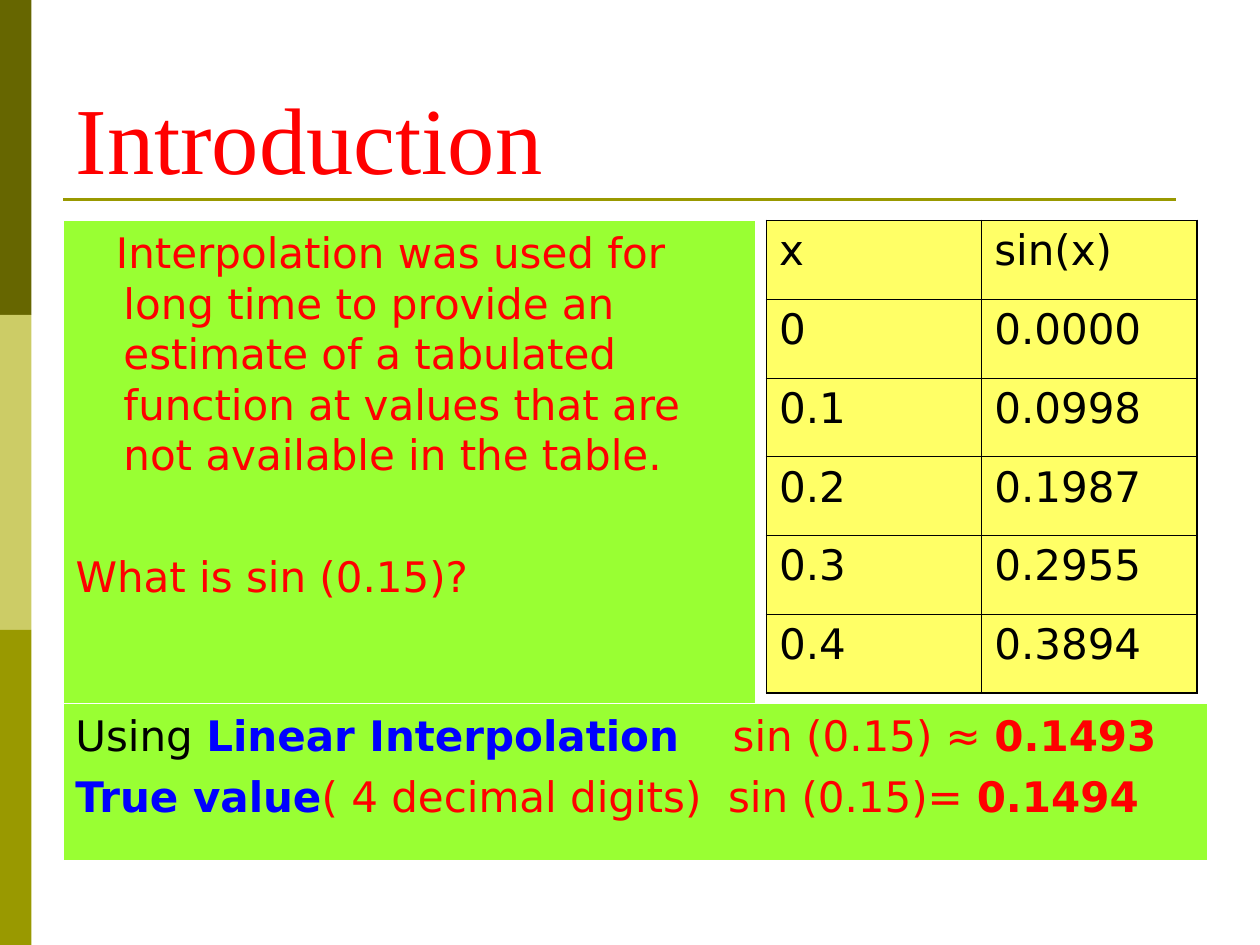
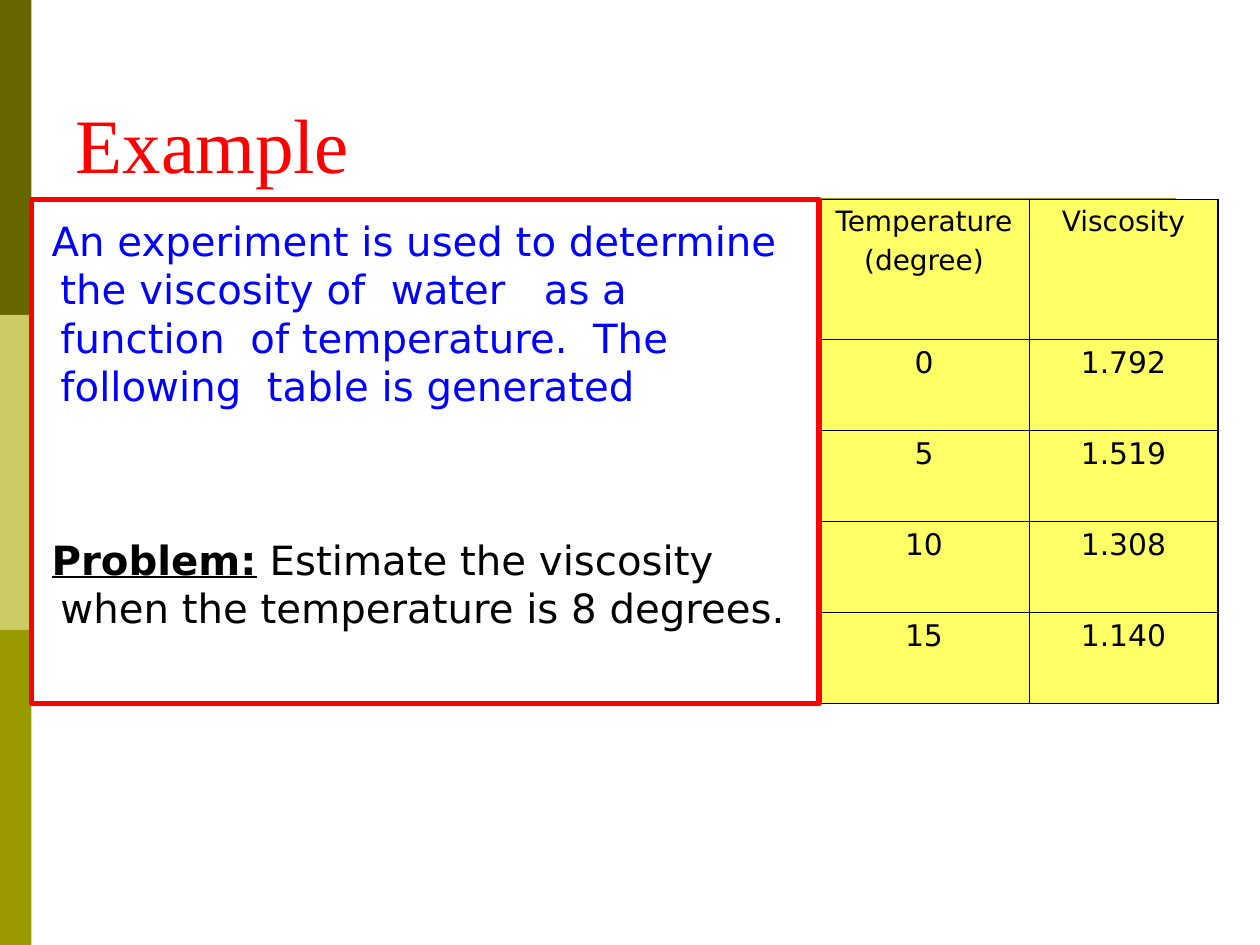
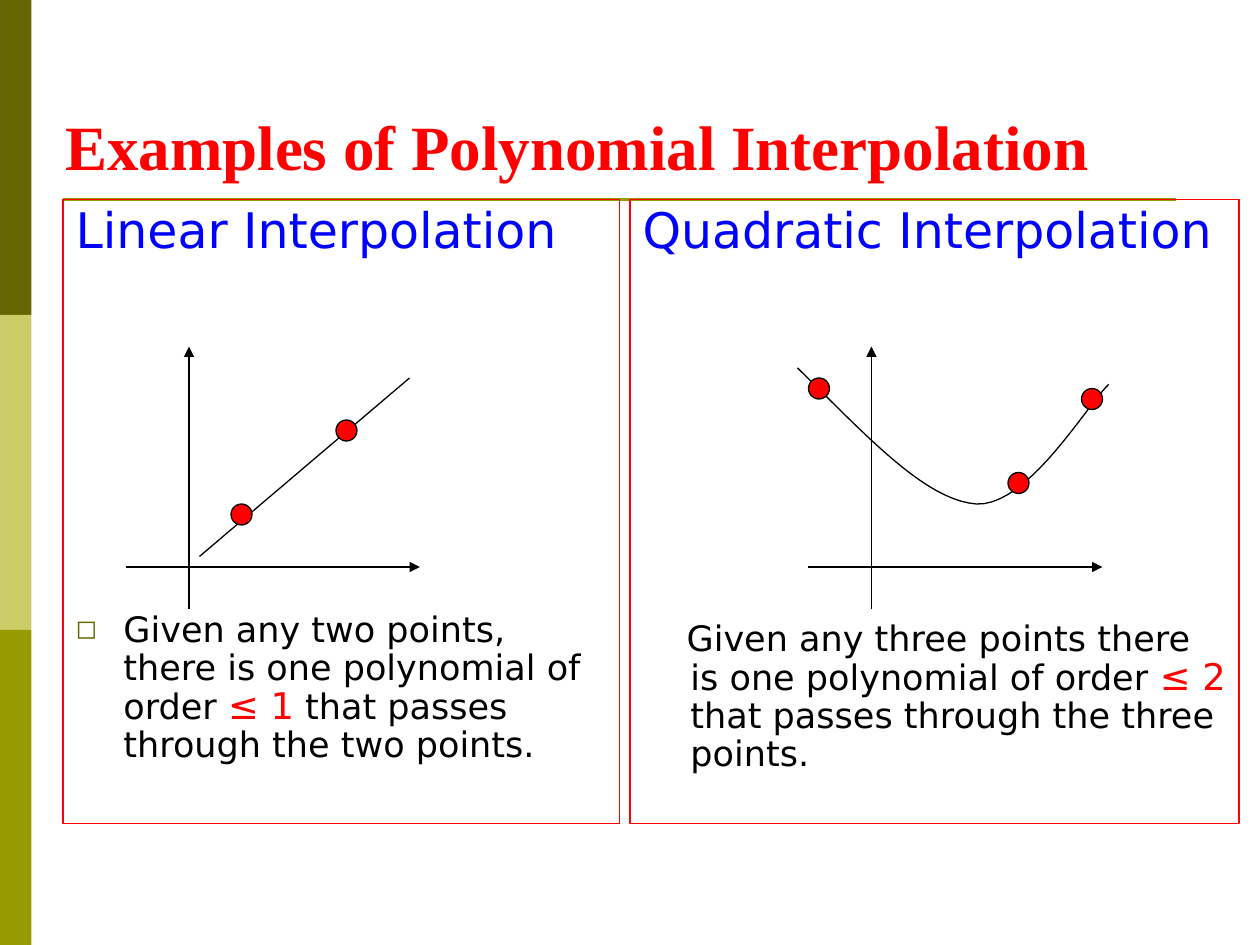
import pptx
import pptx.dml.color
import pptx.enum.shapes
import pptx.enum.text
import pptx.oxml
import pptx.oxml.ns
import pptx.util
import lxml.etree

COLOURS = {
    "black": "000000", "white": "FFFFFF", "red": "FF0000", "blue": "0000FF",
    "lime": "99FF33", "yellow": "FFFF66",
    "dark olive": "666600", "pale olive": "CCCC66", "olive": "999900",
}
RGB = {name: pptx.dml.color.RGBColor.from_string(code) for name, code in COLOURS.items()}
TITLE_FONT, TEXT_FONT = "Times New Roman", "DejaVu Sans"
MARGIN = 0.38  # inches, left margin of the body text
qn = pptx.oxml.ns.qn
SubElement = lxml.etree.SubElement

prs = pptx.Presentation()
prs.slide_width, prs.slide_height = pptx.util.Inches(10), pptx.util.Inches(7.5)
step = prs.slide_width // 120  # all positions are counted in these grid steps


def write(frame, runs, size, colour="black", before=0, margin=0, first=0,
          font=TEXT_FONT, bold=False, spacing=1, align="LEFT", bullet=None):
    """Add one paragraph; each run is (text, font settings that differ)."""
    paragraph = frame.add_paragraph() if frame.text else frame.paragraphs[0]
    props = paragraph._p.get_or_add_pPr()
    props.set("marL", str(pptx.util.Inches(margin)))
    props.set("indent", str(pptx.util.Inches(first)))
    if bullet:
        tint = SubElement(props, qn("a:buClr"))
        SubElement(tint, qn("a:srgbClr"), val=COLOURS["dark olive"])
        SubElement(props, qn("a:buSzPct"), val="75000")
        SubElement(props, qn("a:buFont"), typeface=TEXT_FONT)
        SubElement(props, qn("a:buChar"), char=bullet)
    else:
        SubElement(props, qn("a:buNone"))
    paragraph.alignment = getattr(pptx.enum.text.PP_ALIGN, align)
    paragraph.space_before = pptx.util.Pt(before)
    paragraph.line_spacing = spacing
    paragraph.font.name, paragraph.font.size = font, pptx.util.Pt(size)
    paragraph.font.bold = bold
    paragraph.font.color.rgb = RGB[colour]
    for text, changes in runs:
        run = paragraph.add_run()
        run.text = text
        for key, value in changes.items():
            if key == "colour":
                run.font.color.rgb = RGB[value]
            elif key == "tracking":  # points added after each character
                run._r.get_or_add_rPr().set("spc", str(value * 100))
            else:
                setattr(run.font, key, value)


def draw_line(slide, ends, colour="black", width=0.75, arrow=False):
    """Draw a straight line between two grid points."""
    line = slide.shapes.add_connector(
        pptx.enum.shapes.MSO_CONNECTOR.STRAIGHT, *[step * n for n in ends])
    line.line.color.rgb = RGB[colour]
    line.line.width = pptx.util.Pt(width)
    if arrow:
        SubElement(line.line._get_or_add_ln(), qn("a:tailEnd"), type="triangle")
    SubElement(line.element.spPr, qn("a:effectLst"))
    return line


# Slides, titles and placeholder positions
titles = [
    # layout, title, size, bold, top, body boxes
    (1, "Introduction", 54, False, 4, [(6, 21, 66, 46)]),
    (1, "Example", 44, False, 3.6, [(0, 20, 77, 46)]),
    (3, "Examples of Polynomial Interpolation", 36, True, 3,
     [(6, 19, 53, 59.4), (60, 19, 58, 59.4)]),
]
slides, bodies = [], []
for layout, title, size, bold, top, boxes in titles:
    slide = prs.slides.add_slide(prs.slide_layouts[layout])
    left = 5 if bold else 6
    for holder, box in zip(slide.placeholders, [(left, top, 108, 15)] + boxes):
        holder.left, holder.top, holder.width, holder.height = [int(step * n) for n in box]
        holder.text_frame.auto_size = pptx.enum.text.MSO_AUTO_SIZE.NONE
        holder.text_frame.word_wrap = True
        holder.text_frame.vertical_anchor = pptx.enum.text.MSO_ANCHOR.TOP
    heading = slide.shapes.title.text_frame
    heading.vertical_anchor = pptx.enum.text.MSO_ANCHOR.BOTTOM
    write(heading, [(title, {})], size, "red", font=TITLE_FONT, bold=bold)
    slides.append(slide)
    bodies.append(list(slide.placeholders)[1:])
intro, example, polynomials = slides

# Side bands and title rule, moved to the master so that every slide shows them
master_tree = prs.slide_master.shapes.element
for row, colour in enumerate(["dark olive", "pale olive", "olive"]):
    band = intro.shapes.add_shape(
        pptx.enum.shapes.MSO_SHAPE.RECTANGLE, 0, 30 * row * step, 3 * step, 30 * step)
    band.shadow.inherit = False
    band.fill.solid()
    band.fill.fore_color.rgb = RGB[colour]
    band.line.fill.background()
    master_tree.append(band.element)
master_tree.append(draw_line(intro, (6, 19, 112, 19), "olive", 1.5).element)

# Tables
tables = [
    # slide, box, column widths, header height, header size, size, alignment, rows
    (intro, (73, 21, 41, 45), (20.5, 20.5), 7.5, 24, 24, "LEFT",
     [("x", "sin(x)"), ("0", "0.0000"), ("0.1", "0.0998"), ("0.2", "0.1987"),
      ("0.3", "0.2955"), ("0.4", "0.3894")]),
    (example, (78, 19, 38, 48), (20, 18), 13.33, 16, 17, "CENTER",
     [("Temperature\n(degree)", "Viscosity"), ("0", "1.792"), ("5", "1.519"),
      ("10", "1.308"), ("15", "1.140")]),
]
for slide, box, widths, header_height, header_size, size, align, rows in tables:
    table = slide.shapes.add_table(len(rows), 2, *[step * n for n in box]).table
    table.first_row = table.horz_banding = False
    for column, width in zip(table.columns, widths):
        column.width = int(step * width)
    for r, values in enumerate(rows):
        row_height = (box[3] - header_height) / (len(rows) - 1) if r else header_height
        table.rows[r].height = int(step * row_height)
        for c, value in enumerate(values):
            cell = table.cell(r, c)
            cell.fill.solid()
            cell.fill.fore_color.rgb = RGB["yellow"]
            text_size = size if r else header_size
            for line in value.split("\n"):
                write(cell.text_frame, [(line, {})], text_size,
                      before=text_size / 4, align=align)
            # Outer edges are thicker than inner ones
            edges = [("L", c == 0), ("R", c == 1), ("T", r == 0), ("B", r == len(rows) - 1)]
            for place, (side, outer) in enumerate(edges):
                border = pptx.oxml.parse_xml(
                    f'<a:ln{side} {pptx.oxml.ns.nsdecls("a")} w="{13700 if outer else 5700}">'
                    f'<a:solidFill><a:srgbClr val="{COLOURS["black"]}"/></a:solidFill>'
                    f'</a:ln{side}>')
                cell._tc.get_or_add_tcPr().insert(place, border)

# Introduction: question and answer on lime panels
question = bodies[0][0]
answer = intro.shapes.add_textbox(*[step * n for n in (6, 67, 109, 15)])
answer.text_frame.word_wrap = True
for panel in (question, answer):
    panel.fill.solid()
    panel.fill.fore_color.rgb = RGB["lime"]
    panel.line.color.rgb = RGB["white"]
    panel.line.width = pptx.util.Pt(0.75)
write(question.text_frame,
      [("Interpolation was used for long time to provide an estimate of a tabulated "
        "function at values that are not available in the table.", {})],
      24, "red", before=6, margin=MARGIN, first=-0.06)
write(question.text_frame, [("What is sin (0.15)?", {})], 24, "red", before=41)
term = {"colour": "blue", "bold": True}
write(answer.text_frame,
      [("Using ", {"colour": "black"}), ("Linear Interpolation", term),
       (" ", {"tracking": 23}), ("sin (0.15) ≈ ", {}), ("0.1493", {"bold": True})],
      24, "red", before=6)
write(answer.text_frame,
      [("True value", term), ("( 4 decimal digits)  sin (0.15)= ", {}),
       ("0.1494", {"bold": True})],
      24, "red", before=6)

# Example: problem text in a red frame
problem = bodies[1][0].text_frame
write(problem,
      [("An experiment is used to determine the viscosity of  water   as a function  "
        "of temperature.  The following  table is generated", {})],
      23, "blue", before=5.8, margin=MARGIN, first=-0.07)
write(problem,
      [("Problem:", {"bold": True, "underline": True}),
       (" Estimate the viscosity when the temperature is 8 degrees.", {})],
      23, before=72, margin=MARGIN, first=-0.07)
frame = example.shapes.add_shape(
    pptx.enum.shapes.MSO_SHAPE.RECTANGLE, *[step * n for n in (3, 19, 75, 48)])
frame.shadow.inherit = False
frame.fill.background()
frame.line.color.rgb = RGB["red"]
frame.line.width = pptx.util.Pt(3)

# Polynomial interpolation: two framed columns
columns = [
    # heading, statement, order, ending, gap above, first-line indent, bullet
    ("Linear Interpolation", "Given any two points, there is one polynomial of order ",
     "≤ 1", " that passes through the two points.", 202, -MARGIN, "◻"),
    ("Quadratic Interpolation", "Given any three points there is one polynomial of order ",
     "≤ 2", " that passes through the three points.", 207, -0.03, None),
]
for body, (heading, statement, order, ending, gap, first, bullet) in zip(bodies[2], columns):
    body.line.color.rgb = RGB["red"]
    body.line.width = pptx.util.Pt(0.75)
    write(body.text_frame, [(heading, {})], 28, "blue", before=7, spacing=0.9)
    write(body.text_frame,
          [(statement, {}), (order, {"colour": "red", "size": pptx.util.Pt(21)}), (ending, {})],
          20, before=gap, margin=MARGIN, first=first, spacing=0.9, bullet=bullet)

# Axes of both plots, then the straight line
for origin in (18, 83):
    draw_line(polynomials, (origin, 58, origin, 33), arrow=True)
    draw_line(polynomials, (origin - 6, 54, origin + 22, 54), arrow=True)
draw_line(polynomials, (19, 53, 39, 36))

# Quadratic curve, sampled from two Bezier pieces (in inches)
pieces = [
    [(8.8, 3.05), (8.63, 3.21), (8.16, 4.02), (7.75, 4)],
    [(7.75, 4), (7.34, 3.97), (6.87, 3.45), (6.33, 2.92)],
]
samples = 20
curve_points = []
for piece in pieces:
    for i in range(samples + 1):
        t = i / samples
        weights = [(1 - t) ** 3, 3 * t * (1 - t) ** 2, 3 * t ** 2 * (1 - t), t ** 3]
        curve_points.append([pptx.util.Inches(sum(w * p[axis] for w, p in zip(weights, piece)))
                             for axis in (0, 1)])
outline = polynomials.shapes.build_freeform(*curve_points[0])
outline.add_line_segments(curve_points[1:], close=False)
curve = outline.convert_to_shape()
curve.shadow.inherit = False
curve.fill.background()
curve.line.color.rgb = RGB["black"]
curve.line.width = pptx.util.Pt(0.75)

# Data points
for left, top in [(22, 48), (32, 40), (77, 36), (96, 45), (103, 37)]:
    point = polynomials.shapes.add_shape(
        pptx.enum.shapes.MSO_SHAPE.OVAL, left * step, top * step, 2 * step, 2 * step)
    point.shadow.inherit = False
    point.fill.solid()
    point.fill.fore_color.rgb = RGB["red"]
    point.line.color.rgb = RGB["black"]
    point.line.width = pptx.util.Pt(0.75)

prs.save("out.pptx")
